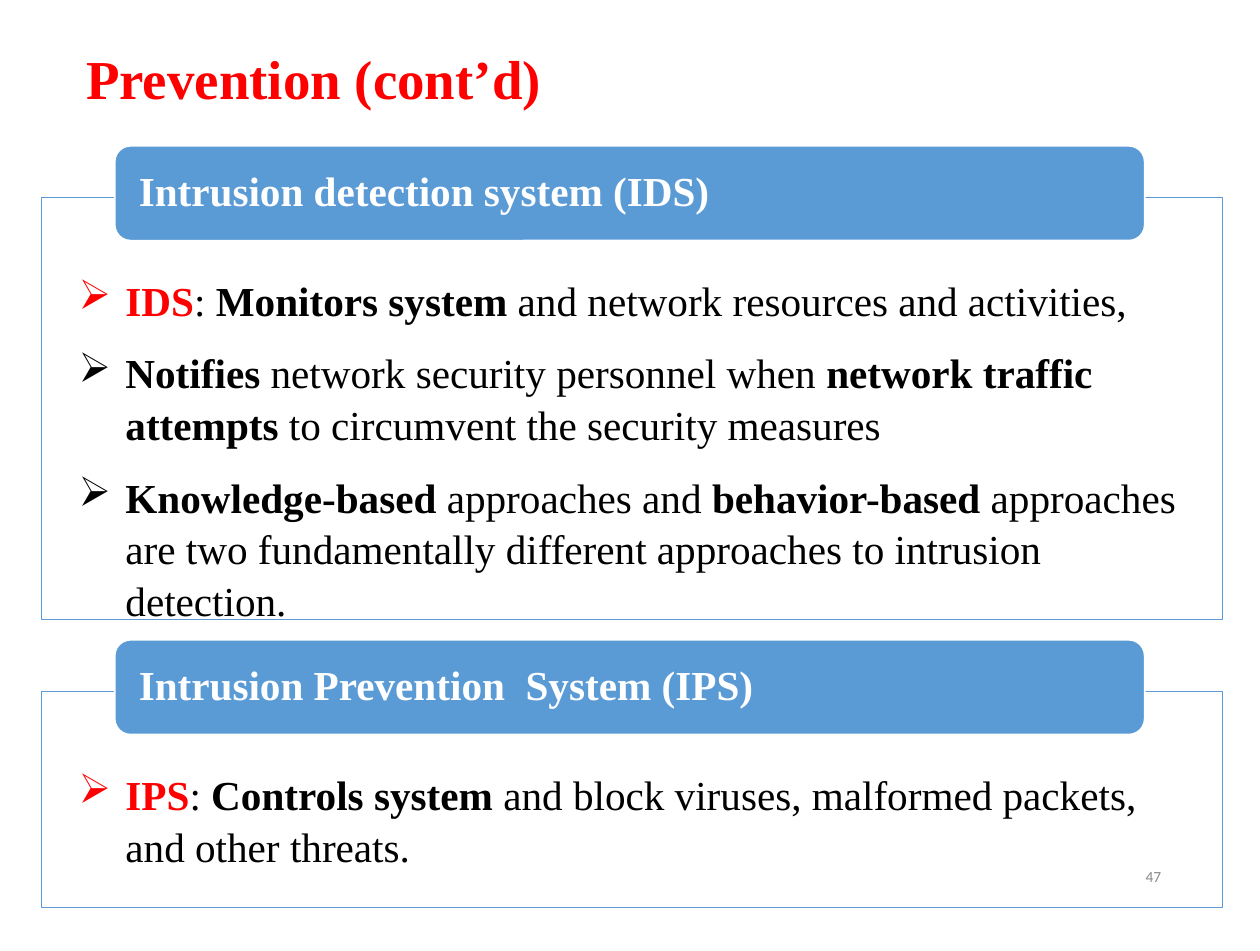
from dataclasses import dataclass

from lxml.etree import SubElement
from pptx import Presentation
from pptx.dml.color import RGBColor
from pptx.enum.shapes import MSO_SHAPE as Shape
from pptx.enum.text import MSO_ANCHOR as Anchor, MSO_AUTO_SIZE as AutoSize, PP_ALIGN as Align
from pptx.oxml.ns import qn
from pptx.util import Cm, Pt


@dataclass(frozen=True)
class Theme:
    red: str = "FF0000"
    blue: str = "5B9BD5"
    white: str = "FFFFFF"
    black: str = "000000"
    grey: str = "898989"
    serif: str = "Times New Roman"
    sans: str = "Calibri"
    title: int = 32
    body: int = 24
    number: int = 9


theme = Theme()


def add_text(para, text, size=theme.body, font=theme.serif, color=theme.black, bold=False):
    span = para.add_run()
    span.text = text
    span.font.size = Pt(size)
    span.font.name = font
    span.font.bold = bold
    span.font.color.rgb = RGBColor.from_string(color)


def set_frame(box, left=0.25, top=0.13, right=0.25, bottom=0.13, anchor=Anchor.MIDDLE):
    """Set margins in cm and the anchor; return the first paragraph, left aligned."""
    frame = box.text_frame
    frame.word_wrap = True
    frame.auto_size = AutoSize.NONE
    frame.vertical_anchor = anchor
    frame.margin_left, frame.margin_top = Cm(left), Cm(top)
    frame.margin_right, frame.margin_bottom = Cm(right), Cm(bottom)
    para = frame.paragraphs[0]
    para.alignment = Align.LEFT
    return para


deck = Presentation()
deck.slide_width, deck.slide_height = Cm(25.91), Cm(19.56)
page = deck.slides.add_slide(deck.slide_layouts[5])

title = page.shapes.title
title.left, title.top, title.width, title.height = Cm(1.52), Cm(0.05), Cm(22.89), Cm(3.25)
para = set_frame(title)
para.line_spacing = 0.9
add_text(para, "Prevention (cont’d)", size=theme.title, color=theme.red, bold=True)

# Heading, top and height of the panel, then bullets made of (text, bold, color) spans
sections = [
    ("Intrusion detection system (IDS)", 4.06, 8.69, [
        [("IDS", True, theme.red), (": ", False, theme.black),
         ("Monitors system ", True, theme.black),
         ("and network resources and activities,", False, theme.black)],
        [("Notifies", True, theme.black),
         (" network security personnel when ", False, theme.black),
         ("network traffic attempts ", True, theme.black),
         ("to circumvent the security measures", False, theme.black)],
        [("Knowledge-based", True, theme.black), (" approaches and ", False, theme.black),
         ("behavior-based", True, theme.black),
         (" approaches are two fundamentally different approaches to intrusion detection.",
          False, theme.black)],
    ]),
    ("Intrusion Prevention  System (IPS)", 14.22, 4.45, [
        [("IPS", True, theme.red), (": ", False, theme.black),
         ("Controls system ", True, theme.black),
         ("and block viruses, malformed packets, and other threats.", False, theme.black)],
    ]),
]

for heading, top, height, bullets in sections:
    panel = page.shapes.add_shape(Shape.RECTANGLE, Cm(0.86), Cm(top), Cm(24.28), Cm(height))
    panel.shadow.inherit = False
    panel.fill.background()
    panel.line.color.rgb = RGBColor.from_string(theme.blue)
    panel.line.width = Pt(0.75)
    para = set_frame(panel, left=0.76, top=1.55, right=0.58, bottom=0.1, anchor=Anchor.TOP)
    for index, spans in enumerate(bullets):
        if index:
            para = panel.text_frame.add_paragraph()
            para.alignment = Align.LEFT
            para.space_before = Pt(6)
        para.space_after = Pt(6)
        para.line_spacing = 1.05
        props = para._p.get_or_add_pPr()
        props.set("marL", str(Cm(0.96)))
        props.set("indent", str(-Cm(0.96)))
        SubElement(props, qn("a:buChar")).set("char", "➢")
        for text, bold, color in spans:
            add_text(para, text, bold=bold, color=color)

    header = page.shapes.add_shape(
        Shape.ROUNDED_RECTANGLE, Cm(2.36), Cm(top - 1.06), Cm(21.18), Cm(1.95))
    header.shadow.inherit = False
    header.fill.solid()
    header.fill.fore_color.rgb = RGBColor.from_string(theme.blue)
    header.line.color.rgb = RGBColor.from_string(theme.white)
    header.line.width = Pt(1)
    para = set_frame(header, left=0.4, top=0.4, right=0.4, bottom=0.4)
    para.line_spacing = 0.9
    add_text(para, heading, color=theme.white, bold=True)

number = page.shapes.add_textbox(Cm(18.29), Cm(17.5), Cm(5.84), Cm(1.04))
para = set_frame(number)
para.alignment = Align.RIGHT
add_text(para, "47", size=theme.number, font=theme.sans, color=theme.grey)

deck.save("out.pptx")
